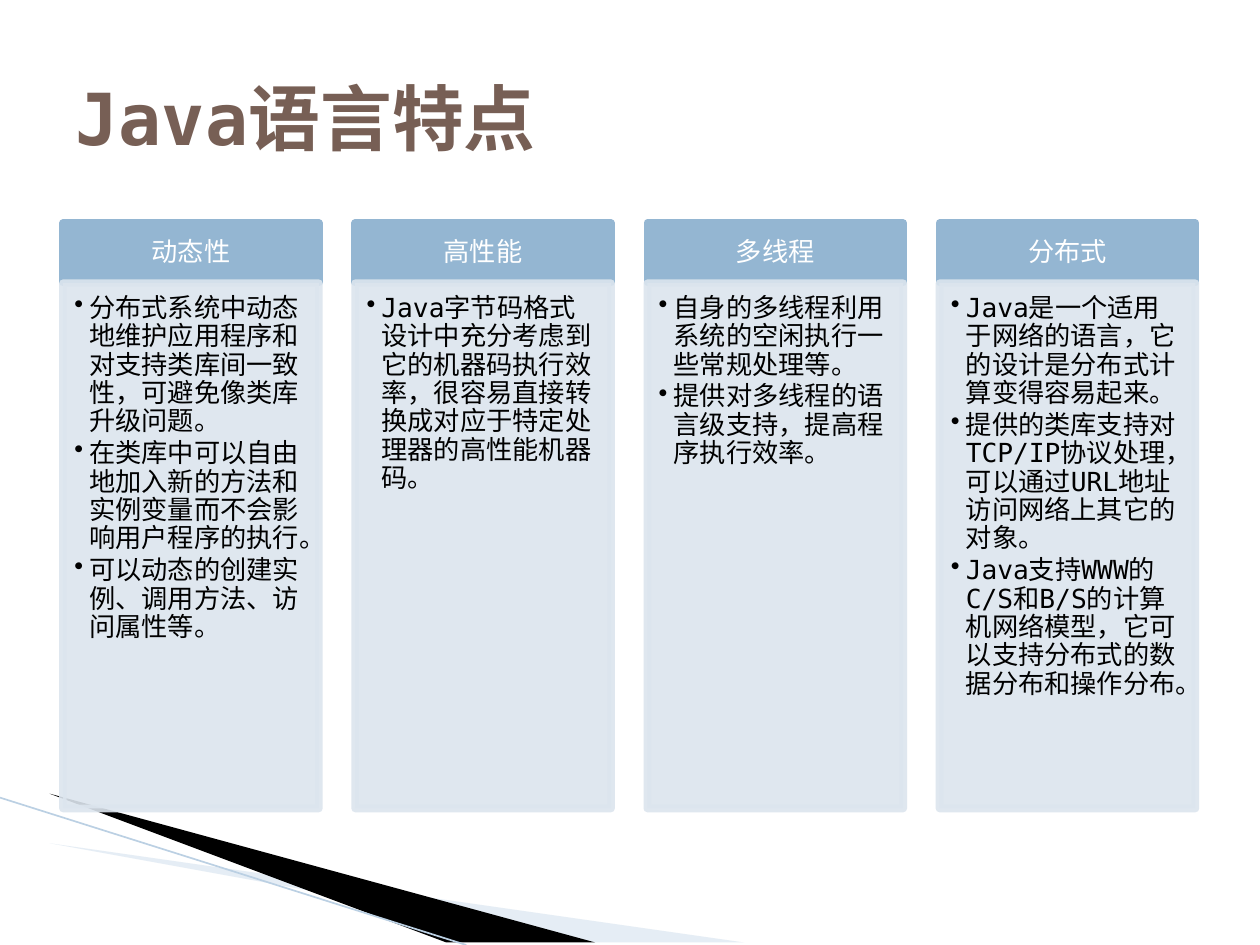
import pptx
import pptx.dml.color
import pptx.enum.shapes
import pptx.enum.text
import pptx.oxml.ns
import pptx.util
from dataclasses import dataclass
from lxml import etree

Cm = pptx.util.Cm
Pt = pptx.util.Pt
RGB = pptx.dml.color.RGBColor.from_string
Align = pptx.enum.text.PP_ALIGN
Anchor = pptx.enum.text.MSO_ANCHOR
qn = pptx.oxml.ns.qn


@dataclass(frozen=True)
class Theme:
    font: str = "DejaVu Sans Mono"
    title: str = "775F55"
    header: str = "94B6D2"
    body: str = "DCE5EE"
    light: str = "FFFFFF"
    dark: str = "000000"
    sweep: str = "C0D3E6"
    edge: str = "BBD0E3"
    title_size: int = 41
    text_size: int = 15


theme = Theme()


def paint(target, color, opacity=100):
    target.solid()
    target.fore_color.rgb = RGB(color)
    if opacity < 100:
        for node in target._xPr.iter(qn("a:srgbClr")):
            etree.SubElement(node, qn("a:alpha")).set("val", str(opacity * 1000))


def style_text(para, size, color, bold=False):
    for span in para.runs:
        span.font.size = Pt(size)
        span.font.bold = bold
        span.font.color.rgb = RGB(color)
        span.font.name = theme.font
        etree.SubElement(span.font._element, qn("a:ea")).set("typeface", theme.font)


columns = [
    ("动态性", [
        "分布式系统中动态地维护应用程序和对支持类库间一致性，可避免像类库升级问题。",
        "在类库中可以自由地加入新的方法和实例变量而不会影响用户程序的执行。",
        "可以动态的创建实例、调用方法、访问属性等。",
    ]),
    ("高性能", [
        "Java字节码格式设计中充分考虑到它的机器码执行效率，很容易直接转换成对应于特定处理器的高性能机器码。",
    ]),
    ("多线程", [
        "自身的多线程利用系统的空闲执行一些常规处理等。",
        "提供对多线程的语言级支持，提高程序执行效率。",
    ]),
    ("分布式", [
        "Java是一个适用于网络的语言，它的设计是分布式计算变得容易起来。",
        "提供的类库支持对TCP/IP协议处理，可以通过URL地址访问网络上其它的对象。",
        "Java支持WWW的C/S和B/S的计算机网络模型，它可以支持分布式的数据分布和操作分布。",
    ]),
]

deck = pptx.Presentation()
deck.slide_width = Cm(25.4)
deck.slide_height = Cm(19.05)
page = deck.slides.add_slide(deck.slide_layouts[5])

sweeps = [
    ([(1.4, 16.51), (15.1, 19.05), (11.58, 19.05)], theme.sweep, 40),
    ([(1.35, 16.48), (11.55, 19.05), (9.4, 19.05)], theme.dark, 100),
]
for points, color, opacity in sweeps:
    builder = page.shapes.build_freeform(*points[0], scale=Cm(1))
    builder.add_line_segments(points[1:], close=True)
    sweep = builder.convert_to_shape()
    sweep.shadow.inherit = False
    paint(sweep.fill, color, opacity)
    sweep.line.fill.background()

edge = page.shapes.add_connector(
    pptx.enum.shapes.MSO_CONNECTOR.STRAIGHT, Cm(0), Cm(16.08), Cm(9.4), Cm(19.05))
edge.line.color.rgb = RGB(theme.edge)
edge.line.width = Pt(0.95)
etree.SubElement(edge._element.spPr, qn("a:effectLst"))

left, pitch, width = 1.27, 5.89, 5.16
parts = [
    (4.5, 1.2, theme.header, 100, (0.3, 0.18, 0.3, 0.18)),
    (5.71, 10.59, theme.body, 90, (0.23, 0.23, 0.3, 0.33)),
]
for index, (heading, points) in enumerate(columns):
    boxes = []
    for top, height, color, opacity, margins in parts:
        box = page.shapes.add_shape(
            pptx.enum.shapes.MSO_SHAPE.RECTANGLE,
            Cm(left + index * pitch), Cm(top), Cm(width), Cm(height))
        box.shadow.inherit = False
        paint(box.fill, color, opacity)
        paint(box.line.fill, color, opacity)
        box.line.width = Pt(4.33)
        frame = box.text_frame
        frame.word_wrap = True
        frame.margin_left, frame.margin_top, frame.margin_right, frame.margin_bottom = map(Cm, margins)
        boxes.append(box)
    header, body = boxes

    header.text_frame.text = heading
    header.text_frame.vertical_anchor = Anchor.MIDDLE
    para = header.text_frame.paragraphs[0]
    para.alignment = Align.CENTER
    para.line_spacing = 0.9
    style_text(para, theme.text_size, theme.light)

    body.text_frame.text = "\n".join(points)
    body.text_frame.vertical_anchor = Anchor.TOP
    for para in body.text_frame.paragraphs:
        properties = para._p.get_or_add_pPr()
        properties.set("marL", str(Cm(0.3)))
        properties.set("indent", str(-Cm(0.3)))
        etree.SubElement(properties, qn("a:buChar")).set("char", "•")
        para.level = 1
        para.alignment = Align.LEFT
        para.line_spacing = 0.9
        para.space_after = Pt(2)
        style_text(para, theme.text_size, theme.dark)

title = page.shapes.title
title.left, title.top, title.width, title.height = Cm(1.27), Cm(0.76), Cm(22.86), Cm(3.18)
title.text_frame.text = "Java语言特点"
title.text_frame.auto_size = pptx.enum.text.MSO_AUTO_SIZE.NONE
title.text_frame.vertical_anchor = Anchor.MIDDLE
para = title.text_frame.paragraphs[0]
para.alignment = Align.LEFT
style_text(para, theme.title_size, theme.title, bold=True)

deck.save("out.pptx")
